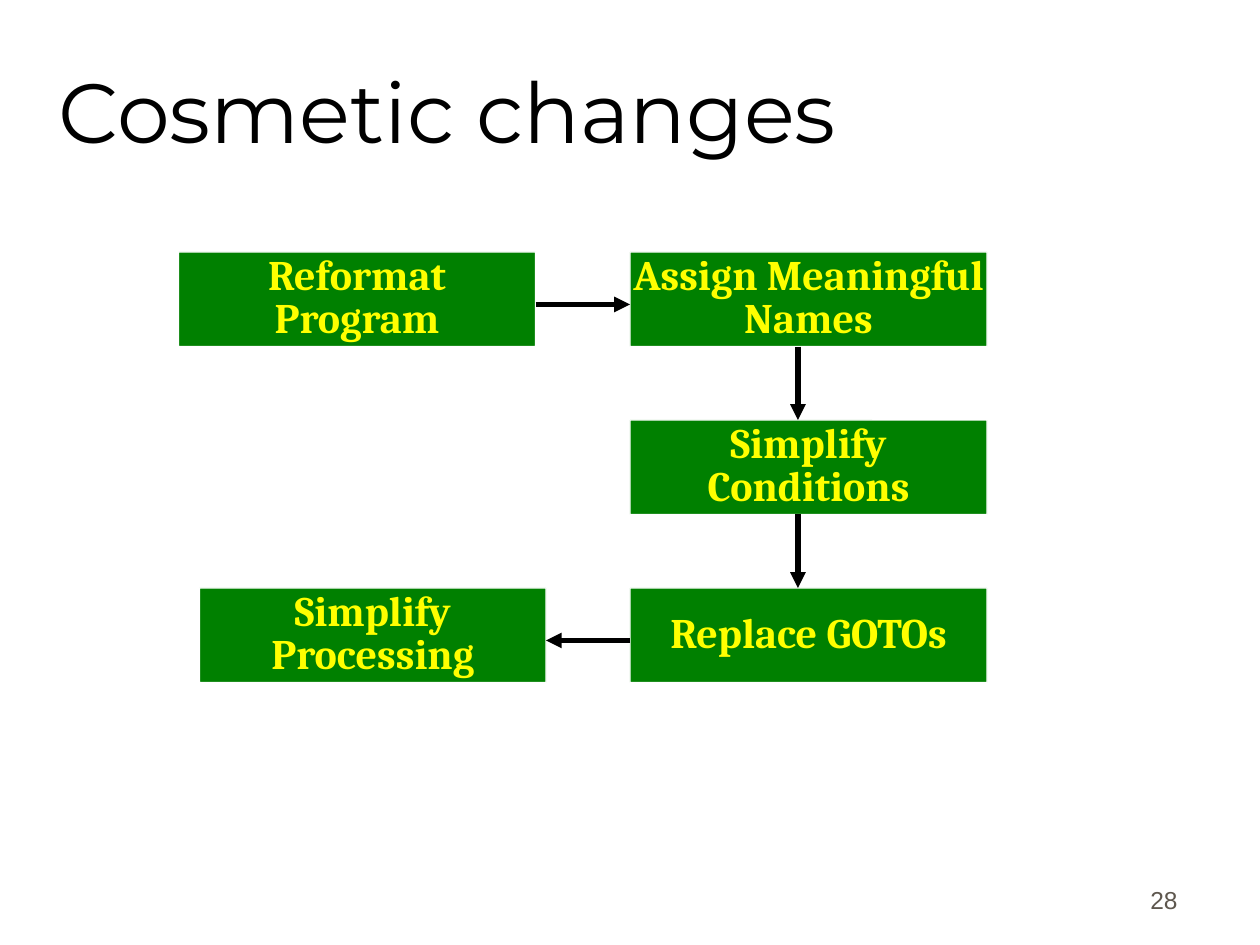
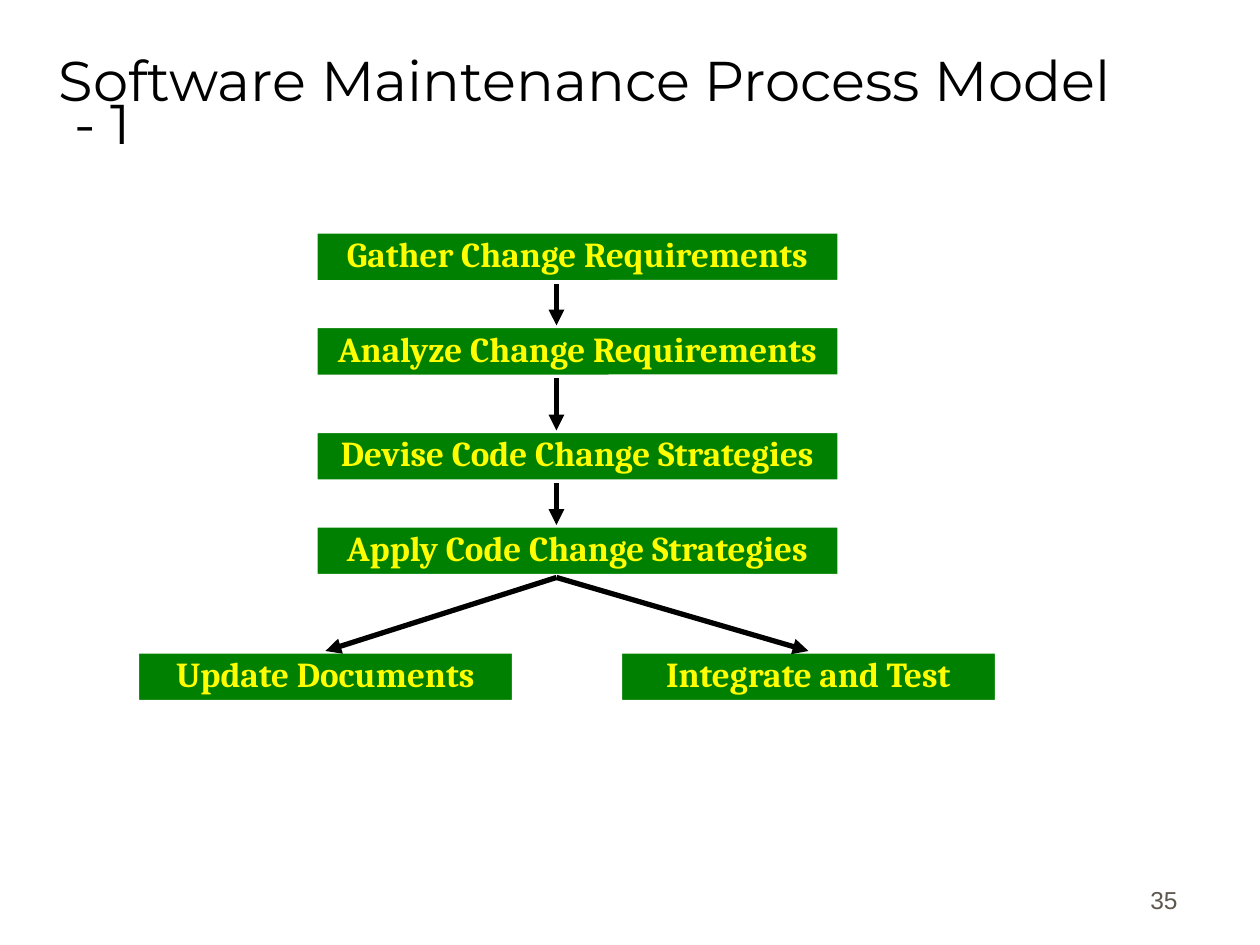
from itertools import pairwise

from lxml import etree
from pptx import Presentation
from pptx import util as u
from pptx.dml.color import RGBColor
from pptx.enum import shapes, text
from pptx.oxml.ns import qn

BLACK, WHITE, GREEN, YELLOW, GREY = "000000", "FFFFFF", "008000", "FFFF00", "5E574E"
TITLE_FONT, BOX_FONT, NUMBER_FONT = "Montserrat", "Cambria", "Arial"
TITLE_BOX = (32, 18, 612, 90)
NUMBER_BOX = (530, 490, 150, 36)


def rgb(value):
    """Turn a hex string into a colour."""
    return RGBColor.from_string(value)


def style(p, name, size, color, align, bold=False, before=0, spacing=1.0):
    """Format one paragraph and its font."""
    p.alignment, p.space_before, p.line_spacing = align, u.Pt(before), spacing
    f = p.font
    f.name, f.size, f.bold = name, u.Pt(size), bold
    f.color.rgb = rgb(color)


def fit_frame(tf):
    """Give a text frame tight margins, wrapping and a middle anchor."""
    tf.margin_left = tf.margin_right = u.Pt(1.5)
    tf.margin_top = tf.margin_bottom = u.Pt(3.6)
    tf.word_wrap, tf.auto_size = True, text.MSO_AUTO_SIZE.NONE
    tf.vertical_anchor = text.MSO_ANCHOR.MIDDLE


def add_slide(prs, title, number, size, spacing=1.0, hanging=0):
    """Add a slide with its title and page number."""
    s = prs.slides.add_slide(prs.slide_layouts[5])
    sp = s.shapes.title
    sp.left, sp.top, sp.width, sp.height = map(u.Pt, TITLE_BOX)
    tf = sp.text_frame
    tf.text = title
    fit_frame(tf)
    p = tf.paragraphs[0]
    style(p, TITLE_FONT, size, BLACK, text.PP_ALIGN.LEFT,
          before=size * 0.225, spacing=spacing)
    pPr = p._p.get_or_add_pPr()
    pPr.set("marL", str(u.Pt(hanging)))
    pPr.set("indent", str(-u.Pt(hanging)))

    tf = s.shapes.add_textbox(*map(u.Pt, NUMBER_BOX)).text_frame
    tf.text = number
    tf.word_wrap, tf.vertical_anchor = True, text.MSO_ANCHOR.BOTTOM
    style(tf.paragraphs[0], NUMBER_FONT, 14, GREY, text.PP_ALIGN.RIGHT)
    return s


def add_step(s, label, box, size, border):
    """Add one green process step."""
    sp = s.shapes.add_shape(shapes.MSO_SHAPE.ROUNDED_RECTANGLE, *map(u.Pt, box))
    sp.adjustments[0] = 0.002
    sp.shadow.inherit = False
    sp.fill.solid()
    sp.fill.fore_color.rgb = rgb(GREEN)
    sp.line.color.rgb = rgb(WHITE)
    sp.line.width = u.Pt(border)
    tf = sp.text_frame
    tf.text = label
    fit_frame(tf)
    style(tf.paragraphs[0], BOX_FONT, size, YELLOW, text.PP_ALIGN.CENTER,
          bold=True, before=size * 0.23, spacing=0.85)


def add_arrow(s, x1, y1, x2, y2):
    """Add a black arrow that points at its second end."""
    line = s.shapes.add_connector(shapes.MSO_CONNECTOR.STRAIGHT,
                                  *map(u.Pt, (x1, y1, x2, y2)))
    line.line.color.rgb = rgb(BLACK)
    line.line.width = u.Pt(3)
    etree.SubElement(line.line._get_or_add_ln(), qn("a:tailEnd"), type="triangle")
    etree.SubElement(line._element.spPr, qn("a:effectLst"))


def cosmetic_flow(s, x, y, w, h):
    """Draw the flow that turns down the right column and back to the left."""
    step_w, step_h = 204, 54
    right = x + w - step_w
    pitch = (h - step_h) / 2
    rows = [y + i * pitch for i in range(3)]
    last_x, last_w = x + 12, step_w - 6
    steps = [
        ("Reformat Program", x, rows[0], step_w),
        ("Assign Meaningful\vNames", right, rows[0], step_w),
        ("Simplify Conditions", right, rows[1], step_w),
        ("Replace GOTOs", right, rows[2], step_w),
        ("Simplify Processing", last_x, rows[2], last_w),
    ]
    for label, left, top, width in steps:
        add_step(s, label, (left, top, width, step_h), 24, 0.75)
    add_arrow(s, x + step_w, y + 30, right, y + 30)
    for top, below in pairwise(rows):
        add_arrow(s, right + 96, top + step_h, right + 96, below)
    add_arrow(s, right, rows[2] + 30, last_x + last_w, rows[2] + 30)


def process_flow(s, x, y, w, h):
    """Draw a column of steps that forks into two results."""
    step_h, step_w, result_w = 29.5, 300, 216
    left, middle = x + 102, x + 240
    steps = {
        "Gather Change Requirements": y,
        "Analyze Change Requirements": y + 54,
        "Devise Code Change Strategies": y + 114,
        "Apply Code Change Strategies": y + 168,
    }
    results = {"Update Documents": x, "Integrate and Test": x + w - result_w}
    result_y = y + h - step_h
    for label, top in steps.items():
        add_step(s, label, (left, top, step_w, step_h), 20, 3)
    for label, result_x in results.items():
        add_step(s, label, (result_x, result_y, result_w, step_h), 20, 3)
    tops = list(steps.values())
    for top, below in pairwise(tops):
        add_arrow(s, middle, top + 30, middle, below)
    for result_x in results.values():
        add_arrow(s, middle, tops[-1] + 30, result_x + result_w / 2, result_y)


def main():
    """Build both slides and save them."""
    prs = Presentation()
    prs.slide_width, prs.slide_height = u.Pt(720), u.Pt(540)
    s = add_slide(prs, "Cosmetic changes", "28", 48)
    cosmetic_flow(s, 102, 144, 462, 246)
    s = add_slide(prs, "Software Maintenance Process Model - 1", "35", 32,
                  spacing=0.63, hanging=9)
    process_flow(s, 78, 132, 492, 269.5)
    prs.save("out.pptx")


if __name__ == "__main__":
    main()
